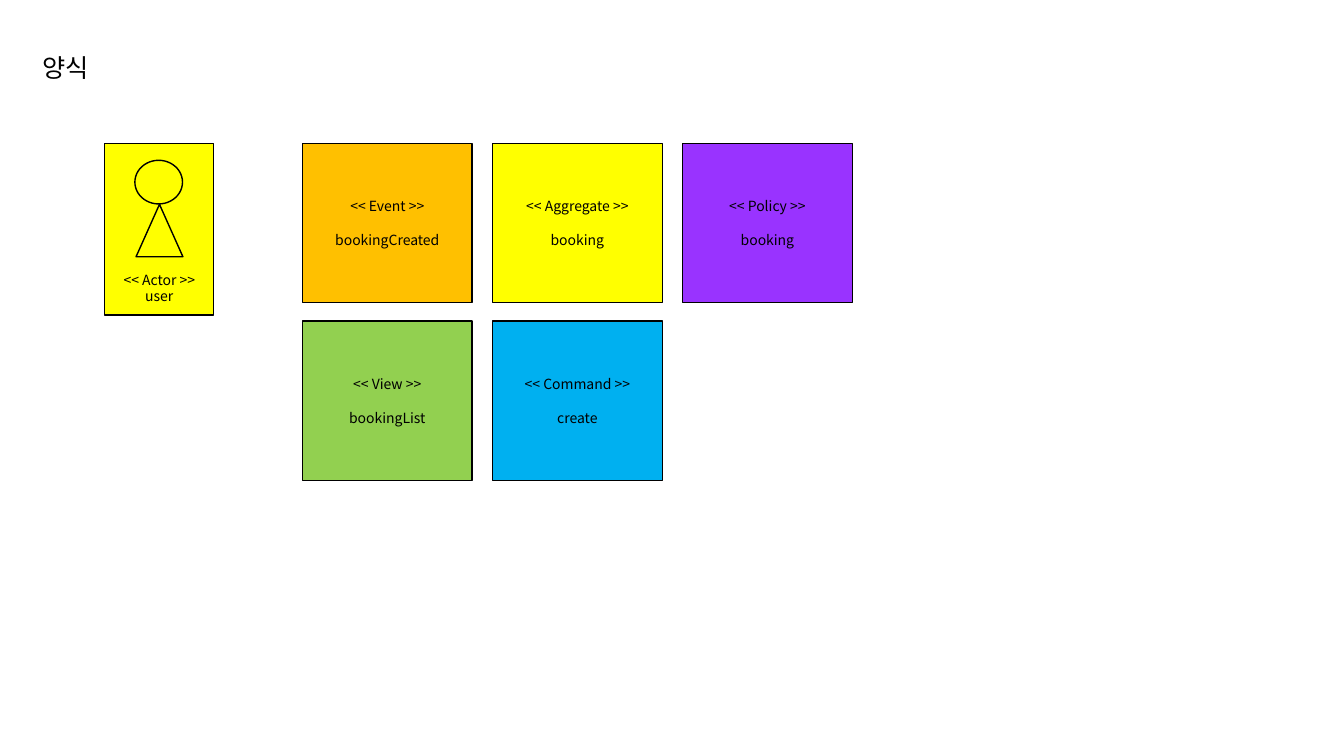
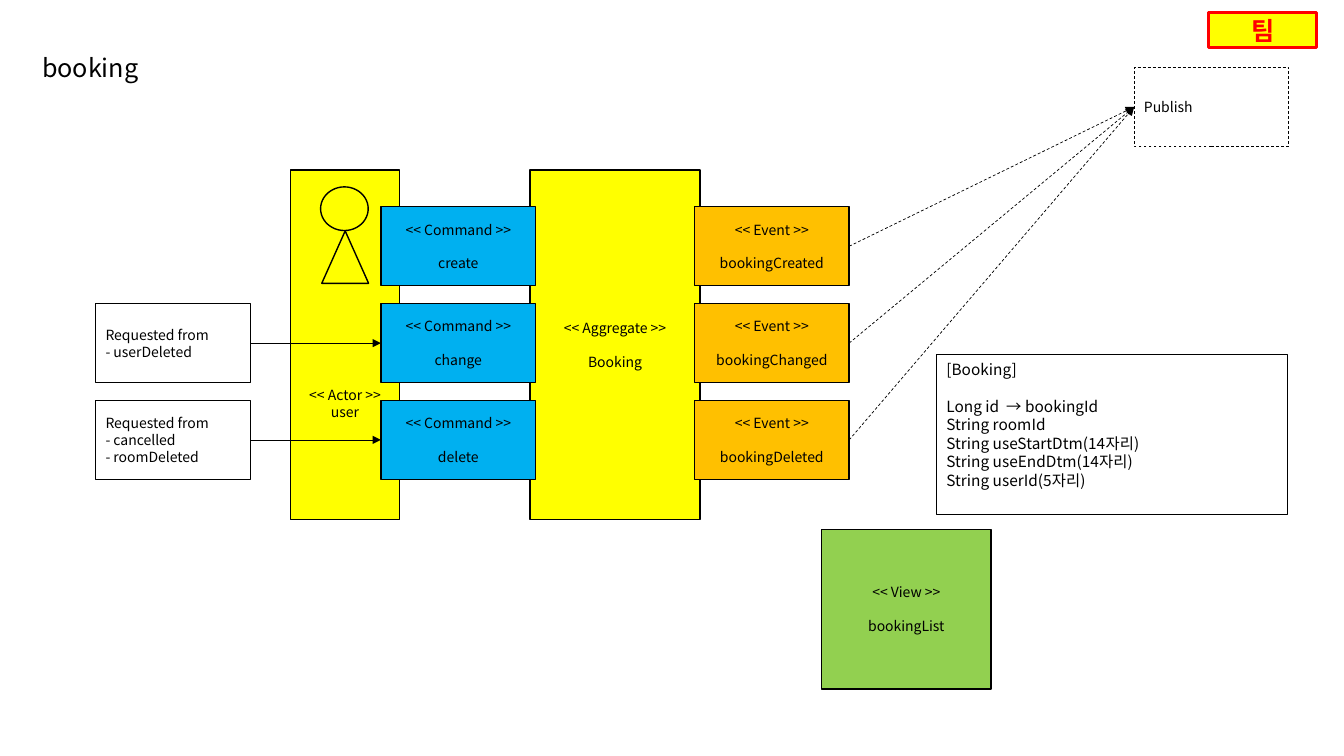
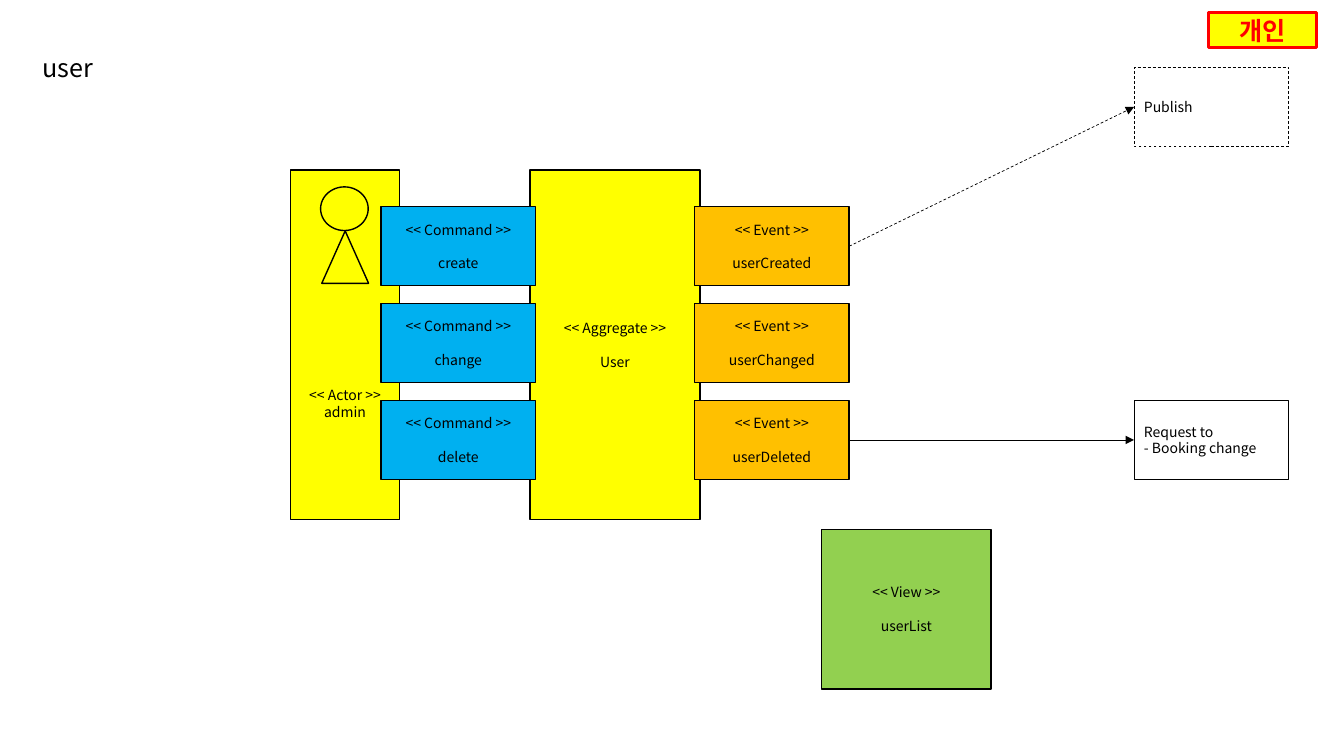
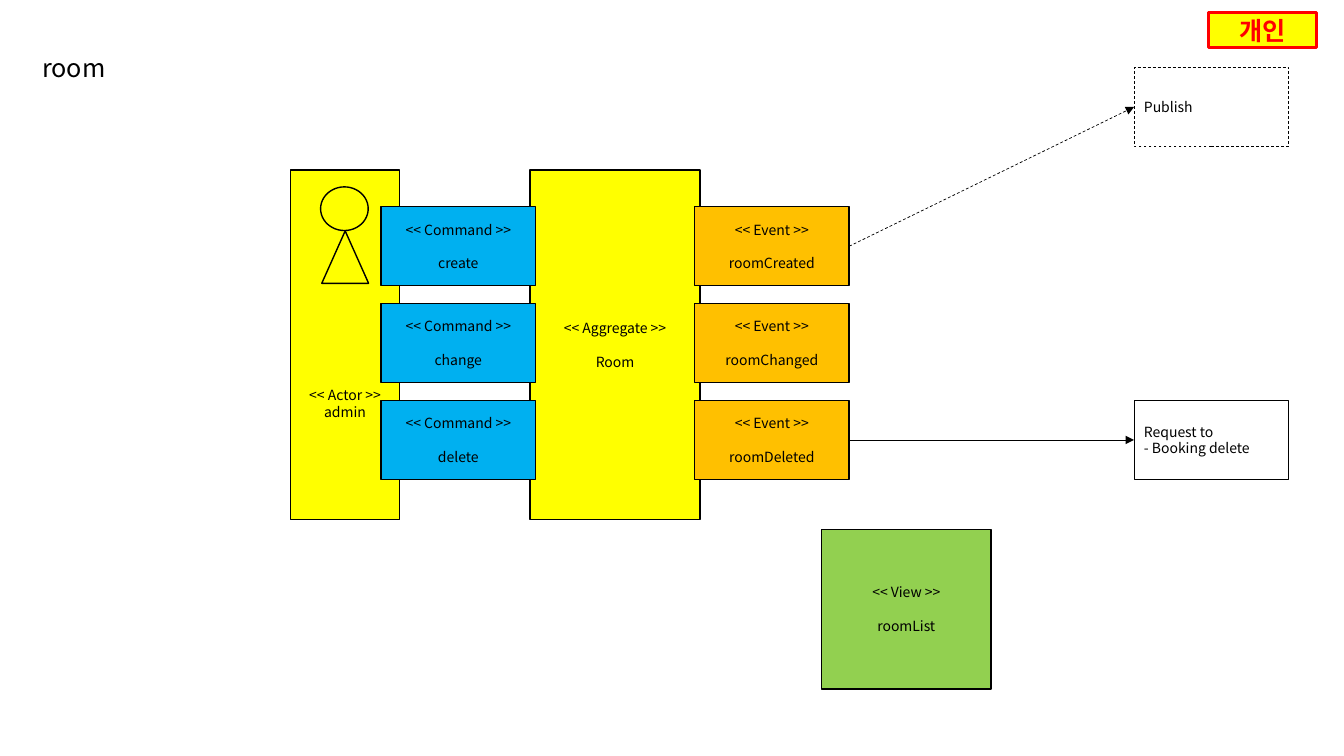
from lxml import etree
from pptx import Presentation
from pptx.dml.color import RGBColor
from pptx.enum.dml import MSO_LINE
from pptx.enum.shapes import MSO_CONNECTOR, MSO_SHAPE
from pptx.enum.text import MSO_ANCHOR, PP_ALIGN
from pptx.oxml.ns import qn
from pptx.util import Cm, Pt

RECT, OVAL, TRIANGLE = MSO_SHAPE.RECTANGLE, MSO_SHAPE.OVAL, MSO_SHAPE.ISOSCELES_TRIANGLE
STRAIGHT, ELBOW = MSO_CONNECTOR.STRAIGHT, MSO_CONNECTOR.ELBOW
LEFT, CENTER = PP_ALIGN.LEFT, PP_ALIGN.CENTER
TOP, MIDDLE = MSO_ANCHOR.TOP, MSO_ANCHOR.MIDDLE
DASH = MSO_LINE.DASH

BLACK = RGBColor(0x00, 0x00, 0x00)
RED = RGBColor(0xFF, 0x00, 0x00)
YELLOW = RGBColor(0xFF, 0xFF, 0x00)
ORANGE = RGBColor(0xFF, 0xC0, 0x00)
GREEN = RGBColor(0x92, 0xD0, 0x50)
BLUE = RGBColor(0x00, 0xB0, 0xF0)
PURPLE = RGBColor(0x99, 0x33, 0xFF)

FONT = "Noto Sans CJK KR"
LINE_HEIGHT = 1.2
CARD_W, CARD_H = 4.28, 4.02
STEP_W, STEP_H = 3.9, 1.99
STEP_TOP, STEP_PITCH = 5.21, 2.44
OUT_X = 28.58


def box(shapes, kind, x, y, w, h, lines=(), fill=None, line=BLACK, width=1, dash=None,
        size=10, color=BLACK, bold=False, align=CENTER, anchor=MIDDLE, gap=False):
    area = Cm(x), Cm(y), Cm(w), Cm(h)
    if kind is None:
        sp = shapes.add_textbox(*area)
    else:
        sp = shapes.add_shape(kind, *area)
        sp.shadow.inherit = False
    if fill is None:
        sp.fill.background()
    else:
        sp.fill.solid()
        sp.fill.fore_color.rgb = fill
    if line is None:
        sp.line.fill.background()
    else:
        sp.line.color.rgb = line
        sp.line.width = Pt(width)
        if dash:
            sp.line.dash_style = dash
    tf = sp.text_frame
    tf.word_wrap = True
    tf.vertical_anchor = anchor
    for i, text in enumerate(lines):
        p = tf.paragraphs[0] if i == 0 else tf.add_paragraph()
        p.alignment = align
        p.line_spacing = Pt(size * LINE_HEIGHT)
        if gap and i == 1:
            p.space_before = Pt(size * LINE_HEIGHT)
        r = p.add_run()
        r.text = text
        r.font.size = Pt(size)
        r.font.name = FONT
        r.font.bold = bold
        r.font.color.rgb = color
        etree.SubElement(r.font._element, qn("a:ea"), typeface=FONT)
    return sp


def connect(s, kind, start, end, dash=None):
    c = s.shapes.add_connector(kind, 0, 0, 0, 0)
    c.begin_connect(start, 3)
    c.end_connect(end, 1)
    c.line.color.rgb = BLACK
    c.line.width = Pt(0.5)
    if dash:
        c.line.dash_style = dash
    etree.SubElement(c.line._get_or_add_ln(), qn("a:tailEnd"), type="triangle")
    etree.SubElement(c._element.spPr, qn("a:effectLst"))


prs = Presentation()
prs.slide_width, prs.slide_height = Cm(33.87), Cm(19.05)

slides = []
for title, actor, x, y, h in [
    ("양식", "user", 2.64, 3.61, 4.33),
    ("booking", "user", 7.32, 4.28, 8.82),
    ("user", "admin", 7.32, 4.28, 8.82),
    ("room", "admin", 7.32, 4.28, 8.82),
]:
    s = prs.slides.add_slide(prs.slide_layouts[6])
    slides.append(s)
    box(s.shapes, None, 0.81, 1.19, 6.2, 1.02, [title], line=None, size=18, align=LEFT, anchor=TOP)
    group = s.shapes.add_group_shape()
    sp = box(group.shapes, RECT, x, y, 2.75, h, ["<< Actor >>", actor], YELLOW)
    sp.text_frame.margin_top = Cm(3.09)
    box(group.shapes, OVAL, x + 0.76, y + 0.43, 1.2, 1.1, fill=YELLOW)
    box(group.shapes, TRIANGLE, x + 0.79, y + 1.54, 1.18, 1.32, fill=YELLOW)

for col, row, label, name, fill in [
    (0, 0, "Event", "bookingCreated", ORANGE),
    (1, 0, "Aggregate", "booking", YELLOW),
    (2, 0, "Policy", "booking", PURPLE),
    (0, 1, "View", "bookingList", GREEN),
    (1, 1, "Command", "create", BLUE),
]:
    box(slides[0].shapes, RECT, 7.62 + col * 4.79, 3.61 + row * 4.48, CARD_W, CARD_H,
        [f"<< {label} >>", name], fill, gap=True)

for s, entity, badge, published, incoming, outgoing in [
    (slides[1], "booking", "팀", 3,
     [(1, ["- userDeleted"]), (2, ["- cancelled", "- roomDeleted"])], None),
    (slides[2], "user", "개인", 1, [], "- Booking change"),
    (slides[3], "room", "개인", 1, [], "- Booking delete"),
]:
    box(s.shapes, RECT, 13.36, 4.28, CARD_W, 8.82,
        ["<< Aggregate >>", entity.capitalize()], YELLOW, gap=True)
    box(s.shapes, RECT, 20.7, 13.34, CARD_W, CARD_H, ["<< View >>", f"{entity}List"], GREEN, gap=True)
    commands, events = [], []
    for i, (command, event) in enumerate([("create", "Created"), ("change", "Changed"), ("delete", "Deleted")]):
        y = STEP_TOP + i * STEP_PITCH
        commands.append(box(s.shapes, RECT, 9.6, y, STEP_W, STEP_H,
                            ["<< Command >>", command], BLUE, gap=True))
        events.append(box(s.shapes, RECT, 17.5, y, STEP_W, STEP_H,
                          ["<< Event >>", entity + event], ORANGE, gap=True))
    publish = box(s.shapes, RECT, OUT_X, 1.7, STEP_W, STEP_H, ["Publish"],
                  width=0.5, dash=DASH, align=LEFT)
    for event in events[:published]:
        connect(s, STRAIGHT, event, publish, DASH)
    for i, sources in incoming:
        request = box(s.shapes, RECT, 2.41, STEP_TOP + i * STEP_PITCH, STEP_W, STEP_H,
                      ["Requested from", *sources], width=0.5, align=LEFT)
        connect(s, ELBOW, request, commands[i])
    if outgoing:
        request = box(s.shapes, RECT, OUT_X, STEP_TOP + 2 * STEP_PITCH, STEP_W, STEP_H,
                      ["Request to", outgoing], width=0.5, align=LEFT)
        connect(s, ELBOW, events[2], request)
    box(s.shapes, RECT, 30.46, 0.32, 2.72, 0.87, [badge], YELLOW, RED, 2.25,
        size=18, color=RED, bold=True)

box(slides[1].shapes, RECT, 23.6, 8.94, 8.86, CARD_H, [
    "[Booking]",
    "Long id  → bookingId",
    "String roomId",
    "String useStartDtm(14자리)",
    "String useEndDtm(14자리)",
    "String userId(5자리)",
], width=0.75, size=11, align=LEFT, anchor=TOP, gap=True)

prs.save("out.pptx")
